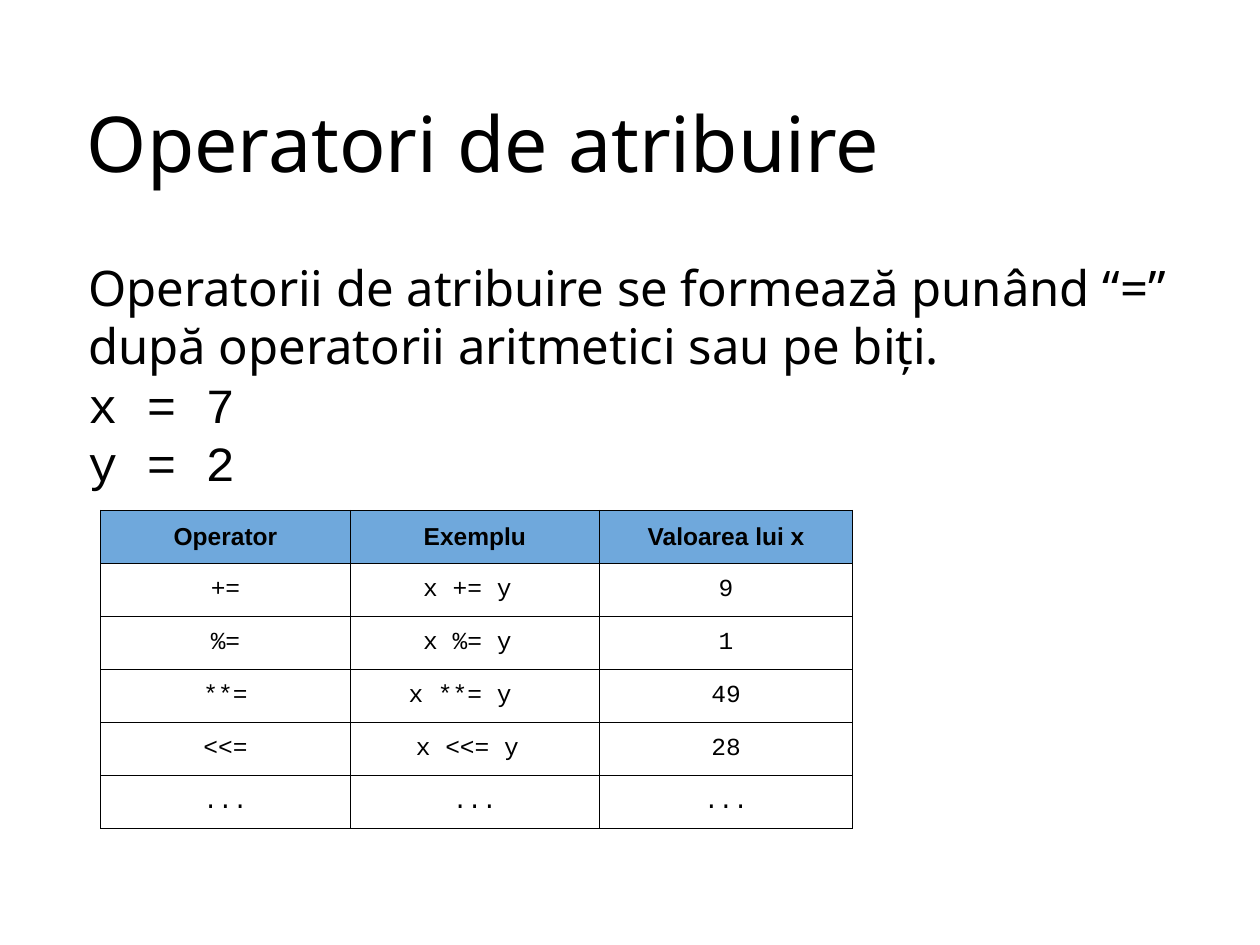
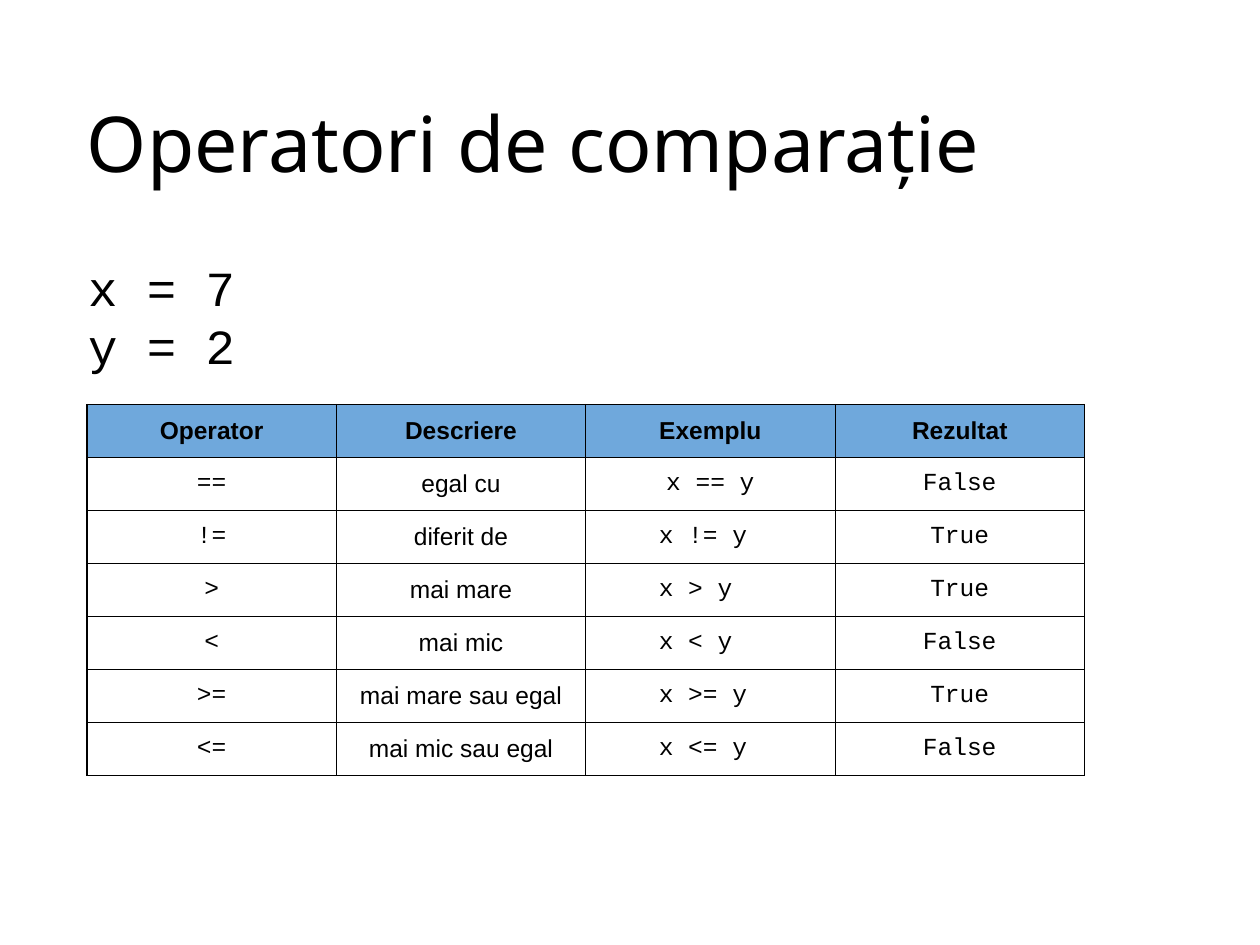
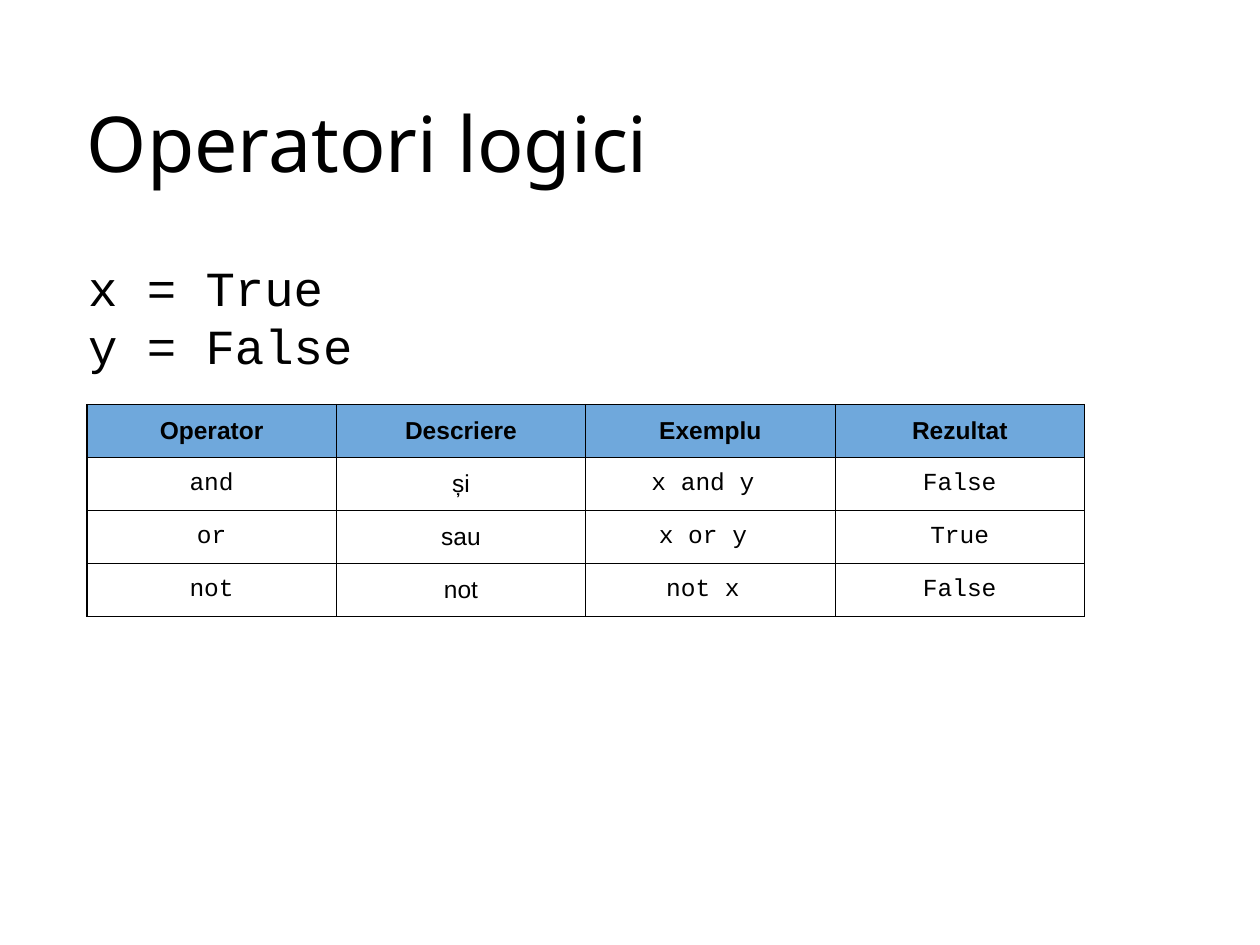
from dataclasses import dataclass

from lxml import etree
from pptx import Presentation
from pptx.dml.color import RGBColor
from pptx.enum import text
from pptx.oxml import ns
from pptx.util import Pt

# Shared style
BLACK = RGBColor(0x00, 0x00, 0x00)
BLUE = RGBColor(0x6F, 0xA8, 0xDC)
SANS, MONO, ARIAL = "Noto Sans", "Courier New", "Arial"
TITLE_BOX = (49.7, 28.8, 620.6, 104.4)
BODY_BOX = (50.4, 144, 620.6, 334)
ROW, COL, INSET, EDGE = 30.3, 142.5, 7.2, 0.75


@dataclass(frozen=True)
class Grid:
    left: float
    top: float
    cols: tuple[float, ...]
    rows: tuple[tuple[str, ...], ...]


@dataclass(frozen=True)
class Page:
    title: str
    intro: str
    code: tuple[str, ...]
    grid: Grid


# Content
HEAD = ("Operator", "Descriere", "Exemplu", "Rezultat")
WIDE = (COL,) * 4
PAGES = (
    Page(
        "Operatori de atribuire",
        "Operatorii de atribuire se formează punând “=” "
        "după operatorii aritmetici sau pe biți.",
        ("x = 7", "y = 2"),
        Grid(57.6, 291.6, (COL, COL, 144.7), (
            ("Operator", "Exemplu", "Valoarea lui x"),
            ("+=", "x += y ", " 9 "),
            ("%=", "x %= y ", " 1 "),
            ("**=", "x **= y  ", " 49 "),
            ("<<=", " x <<= y  ", "28"),
            ("...", "...", "..."),
        )),
    ),
    Page(
        "Operatori de comparație",
        "",
        ("x = 7", "y = 2"),
        Grid(49.7, 231.1, WIDE, (
            HEAD,
            ("==", "egal cu", "x == y", "False"),
            ("!=", "diferit de", "x != y ", "True"),
            (">", "mai mare", "x > y  ", "True"),
            ("<", "mai mic", "x < y  ", "False"),
            (">=", "mai mare sau egal", "x >= y ", "True"),
            ("<=", "mai mic sau egal", "x <= y ", "False"),
        )),
    ),
    Page(
        "Operatori logici",
        "",
        ("x = True", "y = False"),
        Grid(49.7, 231.1, WIDE, (
            HEAD,
            ("and", "și", "x and y ", "False"),
            ("or", "sau", "x or y ", "True"),
            ("not", "not", " not x  ", "False"),
        )),
    ),
)


def style(para, face: str, size: float, bold: bool = False) -> None:
    for run in para.runs:
        font = run.font
        font.name, font.size, font.bold = face, Pt(size), bold
        font.color.rgb = BLACK


def place(shape, box: tuple[float, ...]):
    """Move a placeholder, clear its insets and return its text frame."""
    shape.left, shape.top, shape.width, shape.height = map(Pt, box)
    frame = shape.text_frame
    frame.margin_left = frame.margin_right = 0
    frame.margin_top = frame.margin_bottom = 0
    frame.word_wrap = True
    frame.auto_size = text.MSO_AUTO_SIZE.NONE
    return frame


def add_title(slide, words: str) -> None:
    frame = place(slide.shapes.title, TITLE_BOX)
    frame.vertical_anchor = text.MSO_ANCHOR.MIDDLE
    frame.text = words
    para = frame.paragraphs[0]
    para.alignment = text.PP_ALIGN.LEFT
    style(para, SANS, 44)


def add_body(slide, intro: str, code: tuple[str, ...]) -> None:
    frame = place(slide.placeholders[1], BODY_BOX)
    frame.margin_top = Pt(3)
    lines = ((intro,) if intro else ()) + code
    frame.text = "\n".join(lines)
    for line, para in zip(lines, frame.paragraphs):
        para.space_before = para.space_after = Pt(0)
        para.line_spacing = Pt(33.5)
        props = para._p.get_or_add_pPr()
        props.set("marL", "0")
        props.set("indent", "0")
        etree.SubElement(props, ns.qn("a:buNone"))
        style(para, SANS if line == intro else MONO, 28)


def add_edges(cell) -> None:
    props = cell._tc.get_or_add_tcPr()
    for side in ("lnL", "lnR", "lnT", "lnB"):
        line = etree.SubElement(props, ns.qn(f"a:{side}"), w=str(Pt(EDGE)))
        fill = etree.SubElement(line, ns.qn("a:solidFill"))
        etree.SubElement(fill, ns.qn("a:srgbClr"), val=str(BLACK))


def fill_cell(cell, words: str, face: str, head: bool) -> None:
    cell.margin_left = cell.margin_right = Pt(INSET)
    cell.margin_top = cell.margin_bottom = Pt(INSET)
    add_edges(cell)
    if head:
        cell.fill.solid()
        cell.fill.fore_color.rgb = BLUE
    else:
        cell.fill.background()
    cell.text_frame.text = words
    para = cell.text_frame.paragraphs[0]
    para.alignment = text.PP_ALIGN.CENTER
    style(para, face, 14, head)


def add_grid(slide, grid: Grid) -> None:
    names, count = grid.rows[0], len(grid.rows)
    table = slide.shapes.add_table(
        count, len(names), Pt(grid.left), Pt(grid.top),
        Pt(sum(grid.cols)), Pt(ROW * count)).table
    table.first_row = table.horz_banding = False
    for col, width in zip(table.columns, grid.cols):
        col.width = Pt(width)
    for r, row in enumerate(grid.rows):
        table.rows[r].height = Pt(ROW)
        for c, words in enumerate(row):
            head = r == 0
            face = ARIAL if head or names[c] == "Descriere" else MONO
            fill_cell(table.cell(r, c), words, face, head)


def main() -> None:
    deck = Presentation()
    deck.slide_width, deck.slide_height = Pt(720), Pt(540)
    for page in PAGES:
        slide = deck.slides.add_slide(deck.slide_layouts[1])
        add_title(slide, page.title)
        add_body(slide, page.intro, page.code)
        add_grid(slide, page.grid)
    deck.save("out.pptx")


if __name__ == "__main__":
    main()
